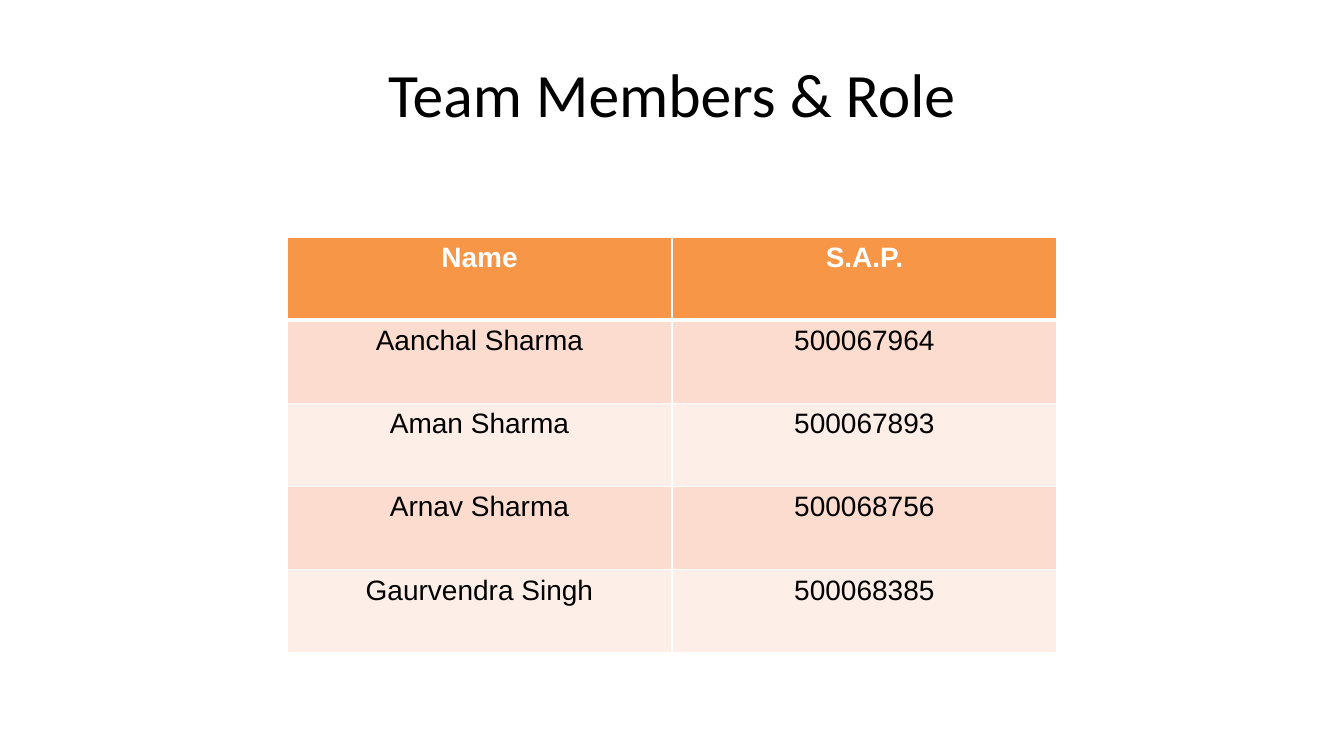
from lxml import etree
from pptx import Presentation
from pptx import util as u
from pptx.dml.color import RGBColor
from pptx.enum import text
from pptx.oxml.ns import qn

PX = 914400 / 100.8  # EMU in one px
COLORS = {"ink": "000000", "white": "FFFFFF", "header": "F79646",
          "band_dark": "FCDCCE", "band_light": "FDEEE8"}
MEMBERS = [("Name", "S.A.P."),
           ("Aanchal Sharma", "500067964"),
           ("Aman Sharma", "500067893"),
           ("Arnav Sharma", "500068756"),
           ("Gaurvendra Singh", "500068385")]


def px(length):
    return u.Emu(round(length * PX))


def rgb(name):
    return RGBColor.from_string(COLORS[name])


def write(frame, words, *, size, font, color="ink", bold=False):
    frame.word_wrap = True
    paragraph = frame.paragraphs[0]
    paragraph.alignment = text.PP_ALIGN.CENTER
    run = paragraph.add_run()
    run.text = words
    run.font.size, run.font.name, run.font.bold = u.Pt(size), font, bold
    run.font.color.rgb = rgb(color)


def border(cell, side, points):
    line = etree.SubElement(cell._tc.get_or_add_tcPr(), qn(f"a:ln{side}"),
                            w=str(u.Pt(points)))
    fill = etree.SubElement(line, qn("a:solidFill"))
    etree.SubElement(fill, qn("a:srgbClr"), val=COLORS["white"])


def heading(slide, left, top, width, height):
    title = slide.shapes.title
    title.left, title.top = px(left), px(top)
    title.width, title.height = px(width), px(height)
    title.text_frame.auto_size = text.MSO_AUTO_SIZE.NONE
    title.text_frame.vertical_anchor = text.MSO_ANCHOR.MIDDLE
    write(title.text_frame, "Team Members & Role", size=44, font="Calibri")


def member_table(slide, left, top, width, height):
    members = slide.shapes.add_table(len(MEMBERS), len(MEMBERS[0]), px(left), px(top),
                                     px(width), px(height)).table
    for row, values in enumerate(MEMBERS):
        is_header = row == 0
        band = "header" if is_header else "band_dark" if row % 2 else "band_light"
        # The rule below the header is thicker than the others
        rules = {"L": 1, "R": 1, "T": 3 if row == 1 else 1, "B": 3 if is_header else 1}
        for column, value in enumerate(values):
            cell = members.cell(row, column)
            for side, points in rules.items():
                border(cell, side, points)
            cell.fill.solid()
            cell.fill.fore_color.rgb = rgb(band)
            write(cell.text_frame, value, size=20, font="Arial", bold=is_header,
                  color="white" if is_header else "ink")


def main():
    deck = Presentation()
    deck.slide_width, deck.slide_height = px(1344), px(756)
    slide = deck.slides.add_slide(deck.slide_layouts[5])  # title only
    heading(slide, 0, 61, 1344, 63)
    member_table(slide, 287, 237, 770, 416)
    deck.save("out.pptx")


if __name__ == "__main__":
    main()
